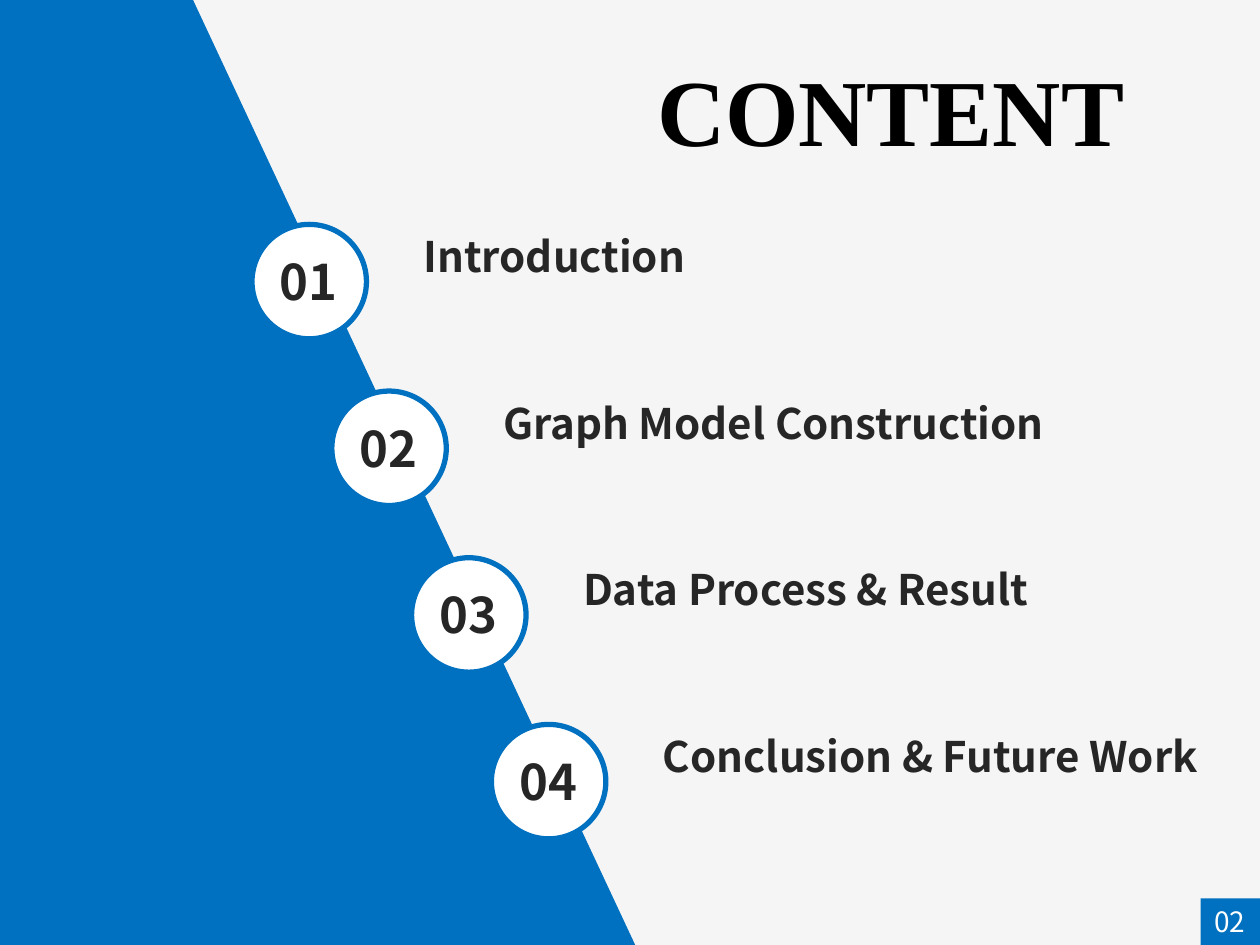
import pptx
import pptx.dml.color
import pptx.enum.shapes
import pptx.enum.text
import pptx.util

Pt = pptx.util.Pt
RGBColor = pptx.dml.color.RGBColor
Shape = pptx.enum.shapes.MSO_SHAPE
Align = pptx.enum.text.PP_ALIGN
Anchor = pptx.enum.text.MSO_ANCHOR

BLUE = RGBColor(0x00, 0x70, 0xC0)
PAPER = RGBColor(0xF5, 0xF5, 0xF5)
WHITE = RGBColor(0xFF, 0xFF, 0xFF)
INK = RGBColor(0x26, 0x26, 0x26)
BLACK = RGBColor(0x00, 0x00, 0x00)

SECTIONS = [  # label, right edge of its text area
    ("Introduction", 674.6),
    ("Graph Model Construction", 674.6),
    ("Data Process & Result", 720),
    ("Conclusion & Future Work", 720),
]
STEP_X, STEP_Y = 45.6, 95.25


class ContentSlide:
    title_font = "Times New Roman"
    body_font = "Noto Sans CJK SC"

    def __init__(self, slide):
        self.slide = slide
        slide.background.fill.solid()
        slide.background.fill.fore_color.rgb = PAPER

    def paint(self, shape, fill, line=None):
        shape.shadow.inherit = False
        shape.fill.solid()
        shape.fill.fore_color.rgb = fill
        if line is None:
            shape.line.fill.background()
        else:
            shape.line.color.rgb = line
            shape.line.width = Pt(3)

    def add_text(self, shape, text, size, color, font, bold=True, align=Align.LEFT):
        frame = shape.text_frame
        frame.word_wrap = True
        frame.auto_size = pptx.enum.text.MSO_AUTO_SIZE.NONE
        frame.vertical_anchor = Anchor.TOP
        paragraph = frame.paragraphs[0]
        paragraph.alignment = align
        run = paragraph.add_run()
        run.text = text
        run.font.name = font
        run.font.size = Pt(size)
        run.font.bold = bold
        run.font.color.rgb = color

    def title(self, text, left, top, width, height):
        heading = self.slide.shapes.title
        heading.left, heading.top = Pt(left), Pt(top)
        heading.width, heading.height = Pt(width), Pt(height)
        self.add_text(heading, text, 54, BLACK, self.title_font, align=Align.CENTER)
        heading.text_frame.margin_top = Pt(9.4)
        heading.text_frame.margin_bottom = 0

    def panel(self, corners):
        points = [(Pt(x), Pt(y)) for x, y in corners]
        builder = self.slide.shapes.build_freeform(*points[0], scale=1.0)
        builder.add_line_segments(points[1:], close=True)
        self.paint(builder.convert_to_shape(), BLUE)

    def label(self, text, left, top, right):
        box = self.slide.shapes.add_textbox(
            Pt(left), Pt(top), Pt(right - left), Pt(60.5))
        self.add_text(box, text, 24, INK, self.body_font)

    def badge(self, kind, area, fill, line, text, text_area, size, color, bold):
        """Group a filled shape with the number set over it."""
        parts = self.slide.shapes.add_group_shape().shapes
        self.paint(parts.add_shape(kind, *map(Pt, area)), fill, line)
        number = parts.add_textbox(*map(Pt, text_area))
        self.add_text(number, text, size, color, self.body_font, bold, Align.CENTER)


def main():
    deck = pptx.Presentation()
    deck.slide_width, deck.slide_height = Pt(720), Pt(540)
    content = ContentSlide(deck.slides.add_slide(deck.slide_layouts[5]))

    # Slanted panel on the left
    content.panel([(363, 540), (110, -0.7), (-2.2, -0.7), (-0.7, 543)])

    # Numbered sections, stepping down along the slant
    for index, (section, right) in enumerate(SECTIONS):
        dx, dy = index * STEP_X, index * STEP_Y
        content.badge(
            Shape.OVAL, (144 + dx, 128.2 + dy, 65.4, 65.4), WHITE, BLUE,
            f"{index + 1:02d}", (149.8 + dx, 140.2 + dy, 53.3, 41), 28, INK, True)
        content.label(section, 234.9 + dx, 128.2 + dy, right)

    # Heading
    content.title("CONTENT", 343.4, 20.2, 331.2, 72.7)

    # Page number
    content.badge(
        Shape.RECTANGLE, (686, 513.4, 34, 26.6), BLUE, None,
        "02", (677.5, 513.4, 50.4, 26.6), 16, WHITE, False)

    deck.save("out.pptx")


if __name__ == "__main__":
    main()
